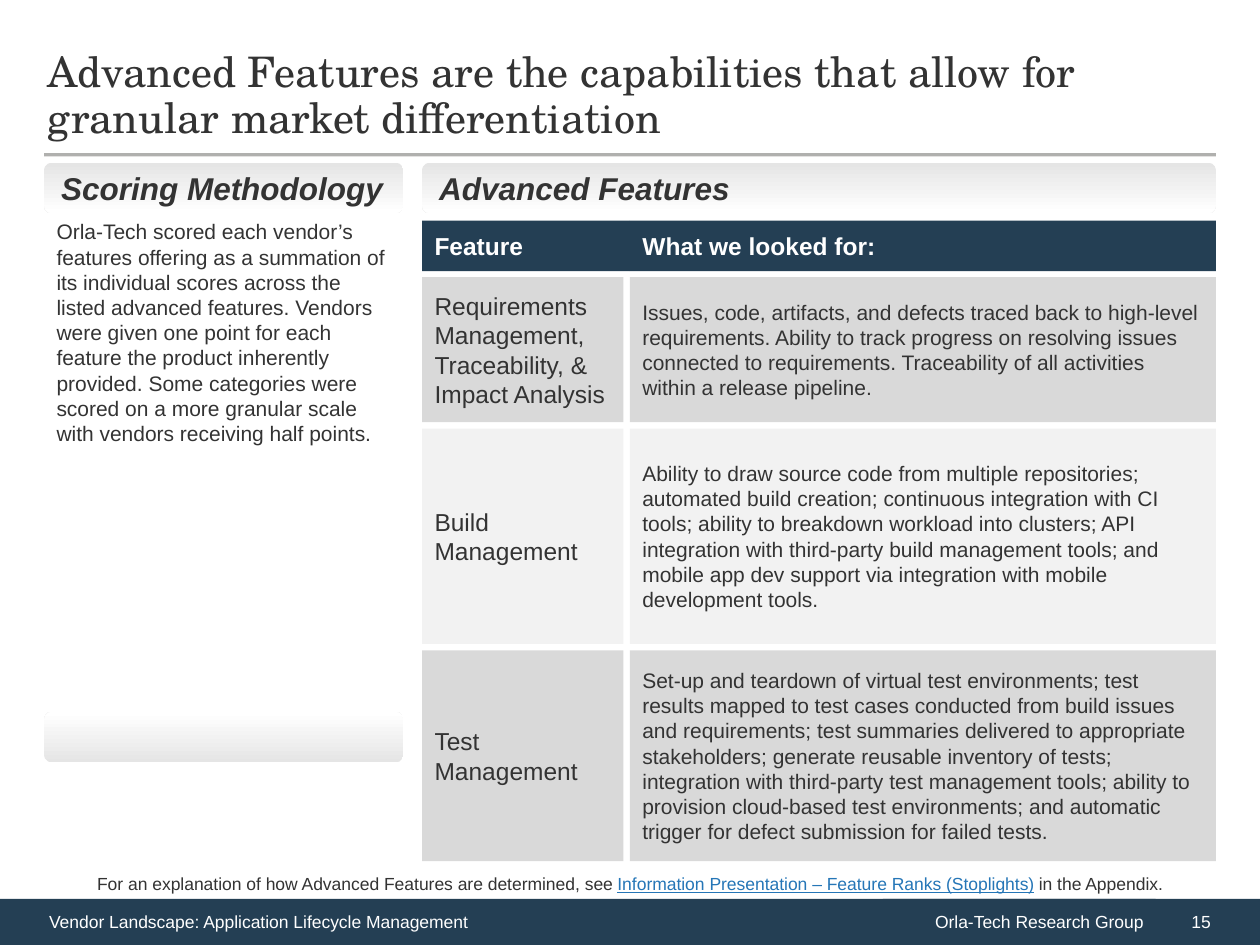
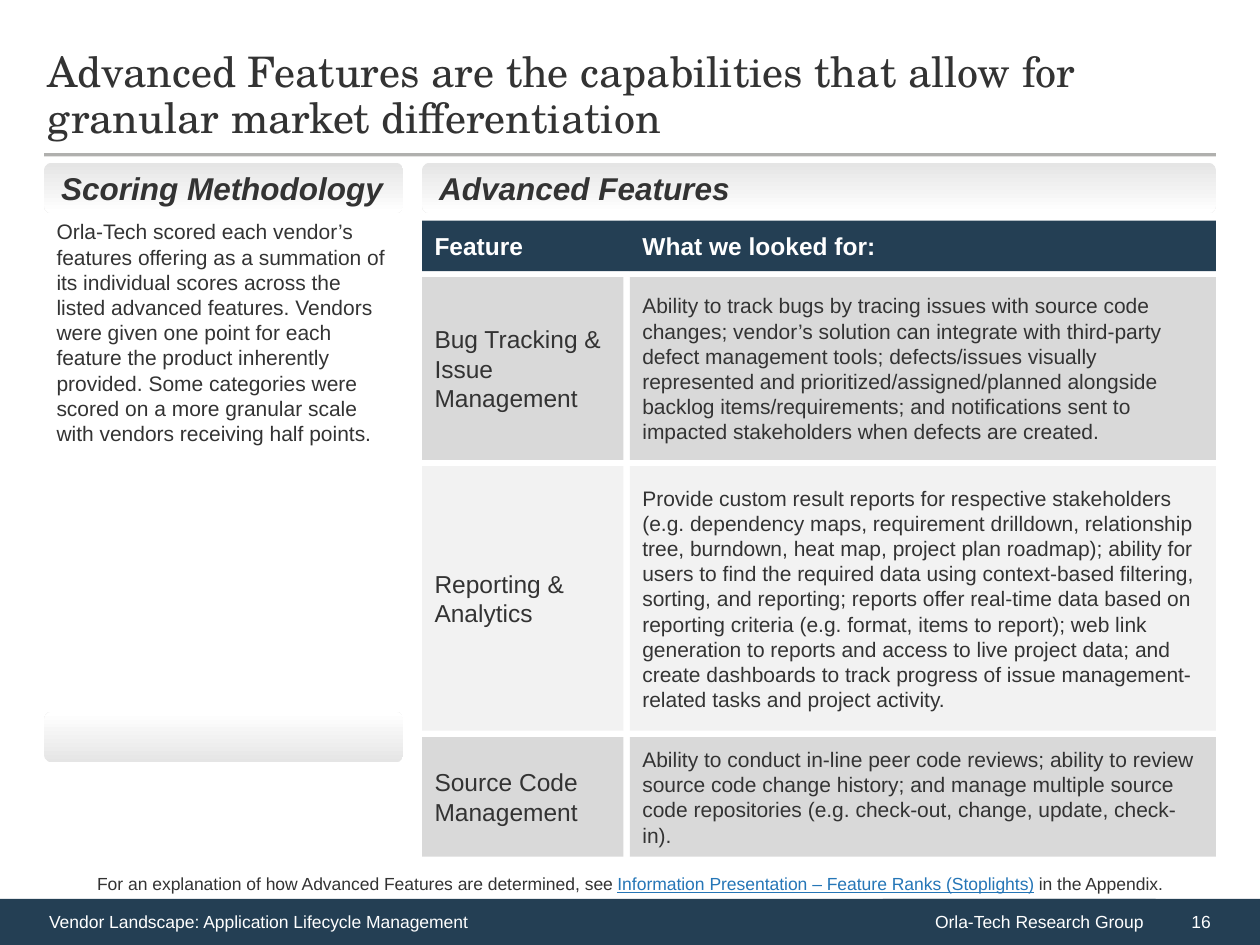
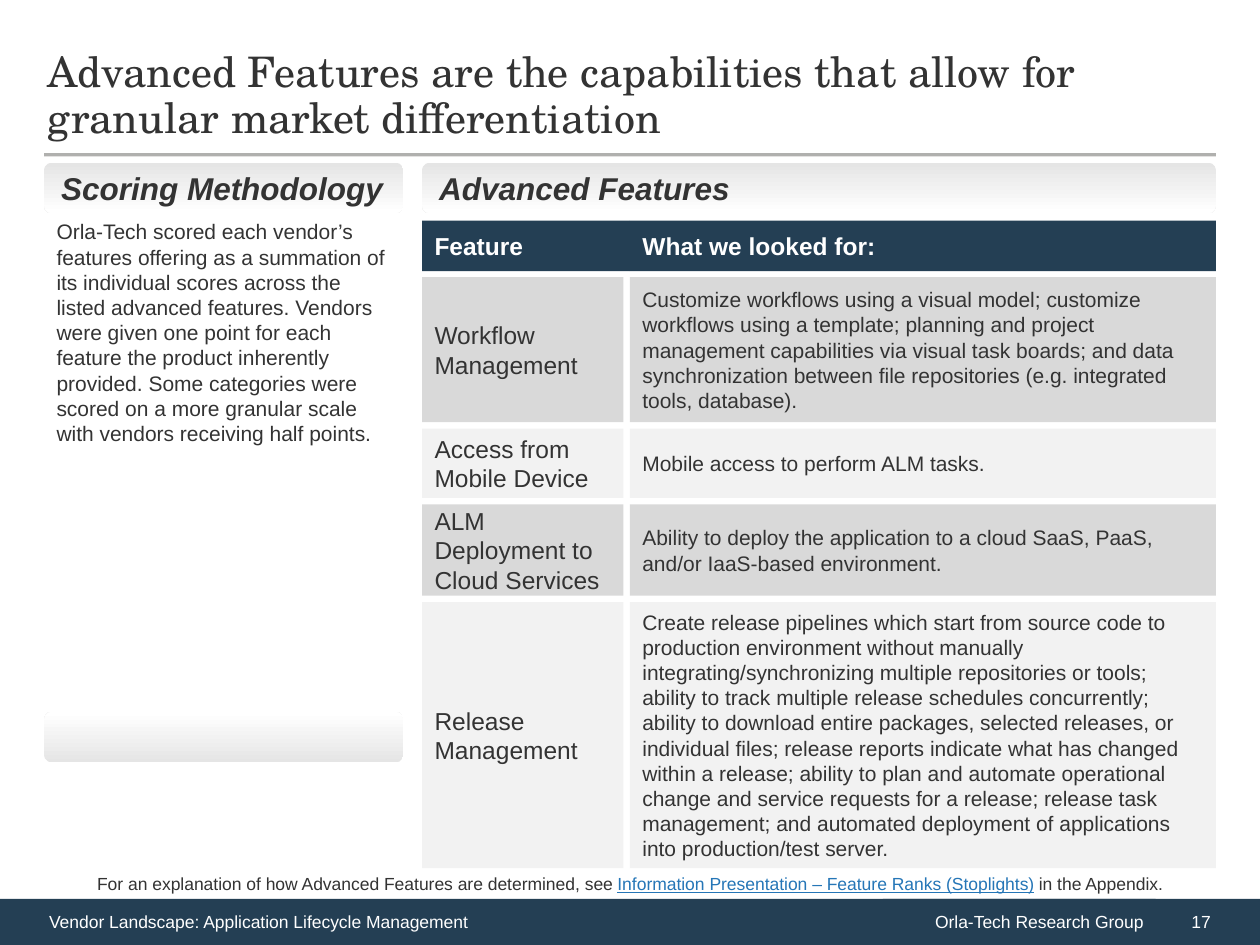
from lxml import etree
from pptx import Presentation
from pptx import util as u
from pptx.dml.color import RGBColor
from pptx.enum import shapes, text
from pptx.oxml.ns import qn

NAVY, INK, WHITE, LINK = "243F54", "333333", "FFFFFF", "2576B7"
ROW_FILLS = ["D9D9D9", "F2F2F2"]
RECT, ROUNDED = shapes.MSO_SHAPE.RECTANGLE, shapes.MSO_SHAPE.ROUNDED_RECTANGLE
MIDDLE, TOP = text.MSO_ANCHOR.MIDDLE, text.MSO_ANCHOR.TOP
RIGHT, CENTER = text.PP_ALIGN.RIGHT, text.PP_ALIGN.CENTER

# All lengths are in centimetres.
SLIDE_W, SLIDE_H = 25.4, 19.05
LEFT, RIGHT_EDGE = 0.89, 24.51
METHOD_W = 7.24
FEATURE_X, FEATURE_W = 8.51, 4.06
CRITERIA_X, CRITERIA_W = 12.7, 11.81
HEADING_Y, PANEL_END_Y, BAND_H = 3.28, 14.35, 1.02
HEADER_Y, FIRST_ROW_Y, ROW_GAP = 4.45, 5.59, 0.13
FOOTER_Y, FOOTER_H = 18.12, 0.93

TITLE = "Advanced Features are the capabilities that allow for granular market differentiation"
METHODOLOGY = (
    "Orla-Tech scored each vendor’s features offering as a summation of its individual "
    "scores across the listed advanced features. Vendors were given one point for each "
    "feature the product inherently provided. Some categories were scored on a more "
    "granular scale with vendors receiving half points."
)
APPENDIX_NOTE = [
    ("For an explanation of how Advanced Features are determined, see ", INK),
    ("Information Presentation – Feature Ranks (Stoplights)", LINK),
    (" in the Appendix.", INK),
]

# Page number -> rows of (height, feature, what was looked for)
PAGES = {
    15: [
        (2.92, "Requirements Management, Traceability, & Impact Analysis",
         "Issues, code, artifacts, and defects traced back to high-level requirements. "
         "Ability to track progress on resolving issues connected to requirements. "
         "Traceability of all activities within a release pipeline."),
        (4.34, "Build Management",
         "Ability to draw source code from multiple repositories; automated build creation; "
         "continuous integration with CI tools; ability to breakdown workload into clusters; "
         "API integration with third-party build management tools; and mobile app dev support "
         "via integration with mobile development tools."),
        (4.25, "Test Management",
         "Set-up and teardown of virtual test environments; test results mapped to test cases "
         "conducted from build issues and requirements; test summaries delivered to appropriate "
         "stakeholders; generate reusable inventory of tests; integration with third-party test "
         "management tools; ability to provision cloud-based test environments; and automatic "
         "trigger for defect submission for failed tests."),
    ],
    16: [
        (3.68, "Bug Tracking & Issue Management",
         "Ability to track bugs by tracing issues with source code changes; vendor’s solution "
         "can integrate with third-party defect management tools; defects/issues visually "
         "represented and prioritized/assigned/planned alongside backlog items/requirements; "
         "and notifications sent to impacted stakeholders when defects are created."),
        (5.33, "Reporting & Analytics",
         "Provide custom result reports for respective stakeholders (e.g. dependency maps, "
         "requirement drilldown, relationship tree, burndown, heat map, project plan roadmap); "
         "ability for users to find the required data using context-based filtering, sorting, "
         "and reporting; reports offer real-time data based on reporting criteria (e.g. format, "
         "items to report); web link generation to reports and access to live project data; and "
         "create dashboards to track progress of issue management-related tasks and project "
         "activity."),
        (2.41, "Source Code Management",
         "Ability to conduct in-line peer code reviews; ability to review source code change "
         "history; and manage multiple source code repositories (e.g. check-out, change, "
         "update, check-in)."),
    ],
    17: [
        (2.92, "Workflow Management",
         "Customize workflows using a visual model; customize workflows using a template; "
         "planning and project management capabilities via visual task boards; and data "
         "synchronization between file repositories (e.g. integrated tools, database)."),
        (1.4, "Access from Mobile Device", "Mobile access to perform ALM tasks."),
        (1.84, "ALM Deployment to Cloud Services",
         "Ability to deploy the application to a cloud SaaS, PaaS, and/or IaaS-based "
         "environment."),
        (5.36, "Release Management",
         "Create release pipelines which start from source code to production environment "
         "without manually integrating/synchronizing multiple repositories or tools; ability to "
         "track multiple release schedules concurrently; ability to download entire packages, "
         "selected releases, or individual files; release reports indicate what has changed "
         "within a release; ability to plan and automate operational change and service requests "
         "for a release; release task management; and automated deployment of applications into "
         "production/test server."),
    ],
}


def rgb(hex_colour):
    return RGBColor.from_string(hex_colour)


def place(box, words="", size=12, color=INK, kind=None, fill=None, bold=False, italic=False,
          font="Arial", anchor=MIDDLE, align=text.PP_ALIGN.LEFT, inset=0.25):
    """Add words to the current slide, in a preset shape or, without a kind, a text box."""
    x, y, w, h = (u.Cm(length) for length in box)
    if kind is None:
        part = slide.shapes.add_textbox(x, y, w, h)
    else:
        part = slide.shapes.add_shape(kind, x, y, w, h)
        part.shadow.inherit = False
        part.line.fill.background()
    if fill:
        part.fill.solid()
        part.fill.fore_color.rgb = rgb(fill)
    elif kind == ROUNDED:
        part.adjustments[0] = 0.15
        part.fill.gradient()
        part.fill.gradient_angle = 270
        for stop, shade in zip(part.fill.gradient_stops, ["E5E5E5", WHITE]):
            stop.color.rgb = rgb(shade)
    frame = part.text_frame
    frame.word_wrap = True
    frame.vertical_anchor = anchor
    frame.margin_left = u.Cm(inset)
    frame.text = words
    paragraph = frame.paragraphs[0]
    paragraph.alignment = align
    for run in paragraph.runs:
        run.font.name, run.font.size = font, u.Pt(size)
        run.font.bold, run.font.italic = bold, italic
        run.font.color.rgb = rgb(color)
    return part


deck = Presentation()
deck.slide_width, deck.slide_height = u.Cm(SLIDE_W), u.Cm(SLIDE_H)

for page, rows in PAGES.items():
    slide = deck.slides.add_slide(deck.slide_layouts[6])

    # Footer
    place((17.8, FOOTER_Y, 7.6, FOOTER_H), str(page), 10, WHITE, RECT, NAVY, inset=6.22)
    place((0, FOOTER_Y, 23.3, FOOTER_H), "Orla-Tech Research Group", 10, WHITE, RECT, NAVY,
          align=RIGHT)
    place((0, FOOTER_Y, 10.03, FOOTER_H), "Vendor Landscape: Application Lifecycle Management",
          10, WHITE, inset=0.99)

    # Title and its rule
    rule = slide.shapes.add_connector(shapes.MSO_CONNECTOR.STRAIGHT, u.Cm(LEFT), u.Cm(3.12),
                                      u.Cm(RIGHT_EDGE), u.Cm(3.12))
    rule.line.width = u.Pt(1.75)
    rule.line.color.rgb = rgb("45433E")
    rule_colour = rule.line.fill.fore_color and next(rule.element.iter(qn("a:srgbClr")))
    etree.SubElement(rule_colour, qn("a:alpha"), val="42000")
    etree.SubElement(rule.element.spPr, qn("a:effectLst"))
    title = place((0.71, 0.74, 23.95, 2.39), TITLE, 24, font="TeX Gyre Schola")
    title.text_frame.paragraphs[0].line_spacing = u.Pt(26)

    # Scoring methodology panel
    place((LEFT, HEADING_Y, METHOD_W, BAND_H), "Scoring Methodology", 18, kind=ROUNDED,
          bold=True, italic=True, inset=0.3)
    place((LEFT, 4.29, METHOD_W, 4.88), METHODOLOGY, anchor=TOP)
    panel_end = place((LEFT, PANEL_END_Y, METHOD_W, BAND_H), kind=ROUNDED)
    panel_end.rotation = 180

    # Advanced features grid
    place((FEATURE_X, HEADING_Y, RIGHT_EDGE - FEATURE_X, BAND_H), "Advanced Features", 18,
          kind=ROUNDED, bold=True, italic=True, inset=0.3)
    place((FEATURE_X, HEADER_Y, CRITERIA_X - FEATURE_X, BAND_H), "Feature", 14, WHITE,
          RECT, NAVY, bold=True)
    place((CRITERIA_X, HEADER_Y, CRITERIA_W, BAND_H), "What we looked for:", 14, WHITE,
          RECT, NAVY, bold=True)
    row_y = FIRST_ROW_Y
    for index, (height, feature, criteria) in enumerate(rows):
        fill = ROW_FILLS[index % 2]
        place((FEATURE_X, row_y, FEATURE_W, height), feature, 14, kind=RECT, fill=fill)
        place((CRITERIA_X, row_y, CRITERIA_W, height), criteria, kind=RECT, fill=fill)
        row_y += height + ROW_GAP

    # Pointer to the appendix
    note = place((0, 17.48, SLIDE_W, 0.69), anchor=TOP, align=CENTER)
    for words, color in APPENDIX_NOTE:
        run = note.text_frame.paragraphs[0].add_run()
        run.text = words
        run.font.name, run.font.size = "Arial", u.Pt(10)
        run.font.color.rgb = rgb(color)
        run.font.underline = color == LINK

deck.save("out.pptx")
